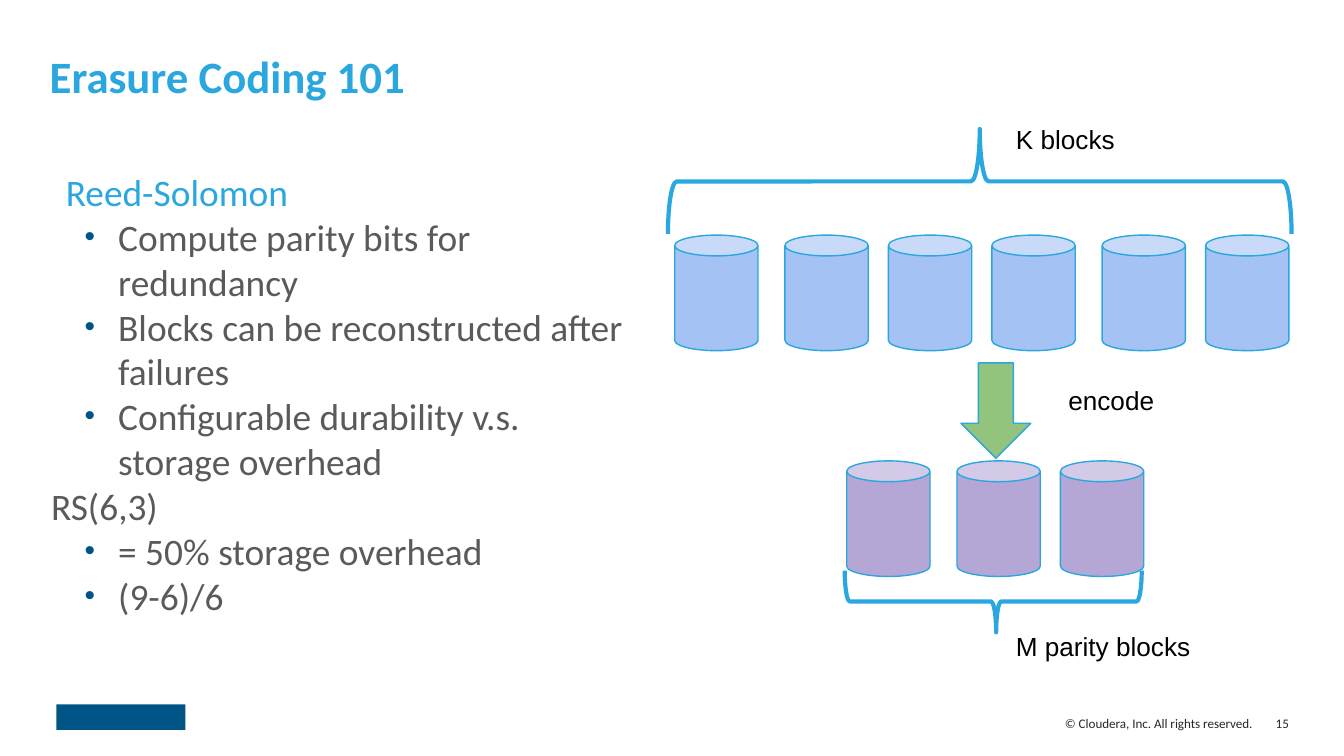
from dataclasses import dataclass
from typing import Optional

from lxml.etree import SubElement
from pptx import Presentation
from pptx.dml.color import RGBColor
from pptx.enum.shapes import MSO_SHAPE as Preset
from pptx.enum.text import MSO_ANCHOR as Anchor, MSO_AUTO_SIZE as AutoSize, PP_ALIGN as Align
from pptx.oxml.ns import qn
from pptx.util import Inches, Pt

SKY = RGBColor(0x29, 0xA7, 0xDE)
NAVY = RGBColor(0x00, 0x55, 0x86)
GRAY = RGBColor(0x59, 0x5B, 0x59)
CHARCOAL = RGBColor(0x28, 0x28, 0x28)
BLACK = RGBColor(0x00, 0x00, 0x00)
DATA_BLUE = RGBColor(0xA4, 0xC2, 0xF4)
PARITY_PURPLE = RGBColor(0xB4, 0xA7, 0xD6)
ARROW_GREEN = RGBColor(0x93, 0xC4, 0x7D)

# The grid has 100 columns and 56.25 rows of equal pitch.
SLIDE_WIDTH, SLIDE_HEIGHT = Inches(10), Inches(5.625)
CELL = SLIDE_WIDTH / 100

TRIAD_OFFSETS = (0, 8.2, 15.9)
BLOCK_WIDTH, BLOCK_HEIGHT = 6.2, 8.6


@dataclass(frozen=True)
class Box:
    column: float
    row: float
    columns: float
    rows: float

    def emu(self) -> tuple[int, ...]:
        return tuple(round(n * CELL) for n in (self.column, self.row, self.columns, self.rows))


@dataclass(frozen=True)
class Triad:
    column: float
    row: float
    color: RGBColor


@dataclass(frozen=True)
class Brace:
    box: Box
    rotation: int
    tip: float


@dataclass(frozen=True)
class Label:
    text: str
    box: Box
    size: int = 14
    font: str = "Arial"
    color: RGBColor = BLACK
    inset: float = 0.1
    align: Align = Align.LEFT
    anchor: Anchor = Anchor.TOP
    wrap: bool = True


@dataclass(frozen=True)
class Point:
    text: str
    bulleted: bool = True
    color: RGBColor = GRAY
    margin: float = 0
    indent: float = 0


TRIADS = (
    Triad(50.2, 17.5, DATA_BLUE),
    Triad(73.8, 17.5, DATA_BLUE),
    Triad(63, 34.3, PARITY_PURPLE),
)
BRACES = (
    Brace(Box(69, -9.7, 7.8, 46.4), 90, 0.5),
    Brace(Box(71.6, 33.7, 4.6, 22.1), 270, 0.51),
)
LABELS = (
    Label("K blocks", Box(74.6, 8.2, 19.9, 4.2)),
    Label("encode", Box(78.5, 27.6, 15.9, 4.2)),
    Label("M parity blocks", Box(74.6, 45.9, 19.9, 4.2)),
    Label("© Cloudera, Inc. All rights reserved.", Box(61.5, 53.1, 31.7, 1.4),
          7, "Calibri", CHARCOAL, 0, Align.RIGHT, Anchor.MIDDLE),
    Label("15", Box(94.5, 53.1, 1.4, 1.4),
          7, "Calibri", CHARCOAL, 0, Align.RIGHT, Anchor.MIDDLE, False),
)
POINTS = (
    Point("Reed-Solomon", False, SKY, 0.03, 0.08),
    Point("Compute parity bits for redundancy"),
    Point("Blocks can be reconstructed after failures"),
    Point("Configurable durability v.s. storage overhead"),
    Point("RS(6,3)", False),
    Point("= 50% storage overhead"),
    Point("(9-6)/6"),
)


def set_frame(text_frame, inset: float, anchor: Anchor = Anchor.TOP, wrap: bool = True) -> None:
    text_frame.auto_size = AutoSize.NONE
    text_frame.word_wrap = wrap
    text_frame.vertical_anchor = anchor
    text_frame.margin_left = text_frame.margin_right = Inches(inset)
    text_frame.margin_top = text_frame.margin_bottom = Inches(inset)


def format_runs(paragraph, font: str, size: int, color: RGBColor, bold: bool = False) -> None:
    for run in paragraph.runs:
        run.font.name = font
        run.font.size = Pt(size)
        run.font.bold = bold
        run.font.color.rgb = color


def add_preset(slide, preset: Preset, box: Box, fill: Optional[RGBColor],
               line: Optional[RGBColor] = SKY, width: float = 0.75):
    shape = slide.shapes.add_shape(preset, *box.emu())
    shape.shadow.inherit = False
    if fill is None:
        shape.fill.background()
    else:
        shape.fill.solid()
        shape.fill.fore_color.rgb = fill
    if line is None:
        shape.line.fill.background()
    else:
        shape.line.color.rgb = line
        shape.line.width = Pt(width)
    return shape


def add_triad(slide, triad: Triad) -> None:
    for offset in TRIAD_OFFSETS:
        box = Box(triad.column + offset, triad.row, BLOCK_WIDTH, BLOCK_HEIGHT)
        add_preset(slide, Preset.CAN, box, triad.color)


def add_brace(slide, brace: Brace) -> None:
    shape = add_preset(slide, Preset.LEFT_BRACE, brace.box, None, width=2.25)
    shape.adjustments[1] = brace.tip
    shape.rotation = brace.rotation


def add_label(slide, label: Label) -> None:
    text_frame = slide.shapes.add_textbox(*label.box.emu()).text_frame
    set_frame(text_frame, label.inset, label.anchor, label.wrap)
    text_frame.text = label.text
    paragraph = text_frame.paragraphs[0]
    paragraph.alignment = label.align
    format_runs(paragraph, label.font, label.size, label.color)


def set_indent(paragraph, point: Point) -> None:
    margin, indent = (0.5, -0.25) if point.bulleted else (point.margin, point.indent)
    properties = paragraph._p.get_or_add_pPr()
    properties.set("marL", str(Inches(margin)))
    properties.set("indent", str(Inches(indent)))
    if point.bulleted:
        color = SubElement(properties, qn("a:buClr"))
        SubElement(color, qn("a:srgbClr"), val=str(NAVY))
        SubElement(properties, qn("a:buSzPct"), val="80000")
        SubElement(properties, qn("a:buFont"), typeface="Arial")
        SubElement(properties, qn("a:buChar"), char="•")


def add_points(slide, box: Box) -> None:
    text_frame = slide.shapes.add_textbox(*box.emu()).text_frame
    set_frame(text_frame, 0.07)
    for index, point in enumerate(POINTS):
        paragraph = text_frame.add_paragraph() if index else text_frame.paragraphs[0]
        paragraph.text = point.text
        set_indent(paragraph, point)
        format_runs(paragraph, "Calibri", 20, point.color)


def set_title(slide, text: str, box: Box) -> None:
    title = slide.shapes.title
    title.left, title.top, title.width, title.height = box.emu()
    set_frame(title.text_frame, 0.07)
    title.text_frame.text = text
    paragraph = title.text_frame.paragraphs[0]
    paragraph.alignment = Align.LEFT
    paragraph.line_spacing = 0.8
    format_runs(paragraph, "Calibri", 24, SKY, bold=True)


def main() -> None:
    presentation = Presentation()
    presentation.slide_width, presentation.slide_height = SLIDE_WIDTH, SLIDE_HEIGHT
    slide = presentation.slides.add_slide(presentation.slide_layouts[5])
    set_title(slide, "Erasure Coding 101", Box(3, 3.7, 92.8, 6.5))
    add_preset(slide, Preset.RECTANGLE, Box(4.2, 52.4, 9.6, 1.9), NAVY, None)
    add_points(slide, Box(3.1, 11.9, 45, 38.4))
    for triad in TRIADS:
        add_triad(slide, triad)
    add_preset(slide, Preset.DOWN_ARROW, Box(71.5, 27, 5.2, 7.1), ARROW_GREEN)
    for brace in BRACES:
        add_brace(slide, brace)
    for label in LABELS:
        add_label(slide, label)
    presentation.save("out.pptx")


if __name__ == "__main__":
    main()
